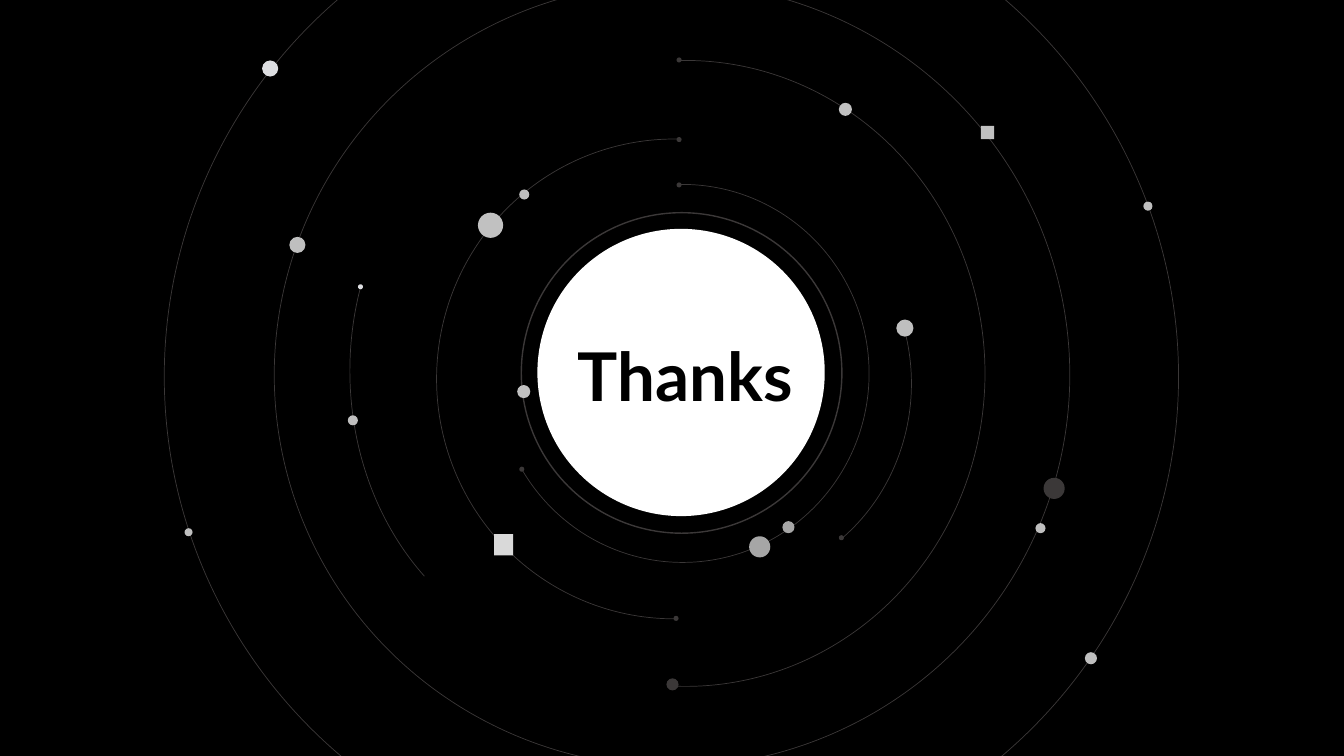
from pptx import Presentation
from pptx.dml.color import RGBColor
from pptx.enum.shapes import MSO_SHAPE as Shape
from pptx.enum.text import MSO_AUTO_SIZE as AutoSize
from pptx.util import Inches, Pt

COLORS = {
    "black": "000000", "white": "FFFFFF", "dark": "3B3838", "gray": "A6A6A6",
    "light": "BFBFBF", "silver": "C1C1C1", "pale": "D9D9D9", "ice": "DDDEE1",
}

# Orbits: left, top, width, height, start and end angle in degrees
ORBITS = [
    (3.83, 0.6, 5.94, 6.21, 269.14, 92.68),
    (4.92, 1.83, 3.7, 3.75, 268.93, 148.98),
    (4.33, 1.38, 4.71, 4.76, 89.48, 271.02),
    (3.47, 0.88, 4.71, 5.6, 128.41, 200.5),
    (5.33, 1.83, 3.71, 3.95, 344.06, 52.85),
    (2.72, -0.17, 7.89, 7.78, 92.85, 92.68),
    (1.63, -1.23, 10.06, 9.93, 92.85, 92.68),
]
DISC = (5.33, 2.27, 2.85, 2.85)
RING = (5.17, 2.11, 3.18, 3.18)

# Round planets: left, top, diameter, color
PLANETS = [
    (7.43, 5.32, 0.21, "gray"), (7.76, 5.17, 0.12, "gray"),
    (8.89, 3.17, 0.17, "light"), (6.61, 6.73, 0.12, "dark"),
    (10.27, 5.19, 0.1, "light"), (10.35, 4.74, 0.21, "dark"),
    (10.76, 6.47, 0.12, "light"), (3.45, 4.12, 0.1, "light"),
    (5.13, 3.82, 0.13, "silver"), (4.74, 2.11, 0.25, "silver"),
    (2.87, 2.35, 0.16, "light"), (2.6, 0.6, 0.16, "ice"),
    (8.32, 1.02, 0.13, "silver"), (5.15, 1.88, 0.1, "light"),
    (11.34, 2, 0.09, "light"), (1.83, 5.24, 0.08, "light"),
]
# Square satellites: left, top, width, height, color
SATELLITES = [
    (4.9, 5.3, 0.19, 0.21, "pale"),
    (9.73, 1.25, 0.13, 0.13, "silver"),
]
# Dots at the orbit ends: left, top, color
DOT_SIZE = 0.05
END_DOTS = [
    (6.71, 1.36, "dark"), (6.71, 1.81, "dark"), (5.15, 4.63, "dark"),
    (6.71, 0.57, "dark"), (6.68, 6.11, "dark"), (3.55, 2.82, "ice"),
    (8.32, 5.31, "dark"),
]
TITLE, TITLE_BOX = "Thanks", (5.63, 3.27, 2.88, 0.91)


def rgb(name):
    return RGBColor.from_string(COLORS[name])


def add_figure(page, kind, bounds, fill=None, line=None, weight=0.5):
    figure = page.shapes.add_shape(kind, *map(Inches, bounds))
    figure.shadow.inherit = False
    if fill:
        figure.fill.solid()
        figure.fill.fore_color.rgb = rgb(fill)
    else:
        figure.fill.background()
    if line:
        figure.line.color.rgb = rgb(line)
        figure.line.width = Pt(weight)
    else:
        figure.line.fill.background()
    return figure


def add_text(page, text, bounds, size=48, font="Lato", color="black", bold=True):
    box = page.shapes.add_textbox(*map(Inches, bounds))
    frame = box.text_frame
    frame.word_wrap = True
    frame.auto_size = AutoSize.SHAPE_TO_FIT_TEXT
    span = frame.paragraphs[0].add_run()
    span.text = text
    span.font.size = Pt(size)
    span.font.name = font
    span.font.bold = bold
    span.font.color.rgb = rgb(color)


def main():
    deck = Presentation()
    deck.slide_width, deck.slide_height = Inches(13.33), Inches(7.5)
    page = deck.slides.add_slide(deck.slide_layouts[6])
    page.background.fill.solid()
    page.background.fill.fore_color.rgb = rgb("black")

    # Orbits; an arc adjustment of 0.6 is one degree
    for *bounds, start, end in ORBITS:
        orbit = add_figure(page, Shape.ARC, bounds, line="dark")
        orbit.adjustments[0] = start * 0.6
        orbit.adjustments[1] = end * 0.6

    # Central disc and its ring
    add_figure(page, Shape.OVAL, DISC, fill="white")
    add_figure(page, Shape.OVAL, RING, line="dark", weight=1)

    # Bodies on the orbits
    for left, top, size, color in PLANETS:
        add_figure(page, Shape.OVAL, (left, top, size, size), fill=color)
    for *bounds, color in SATELLITES:
        add_figure(page, Shape.RECTANGLE, bounds, fill=color)

    # Title
    add_text(page, TITLE, TITLE_BOX)

    # Dots at the orbit ends
    for left, top, color in END_DOTS:
        add_figure(page, Shape.OVAL, (left, top, DOT_SIZE, DOT_SIZE), fill=color)

    deck.save("out.pptx")


if __name__ == "__main__":
    main()
